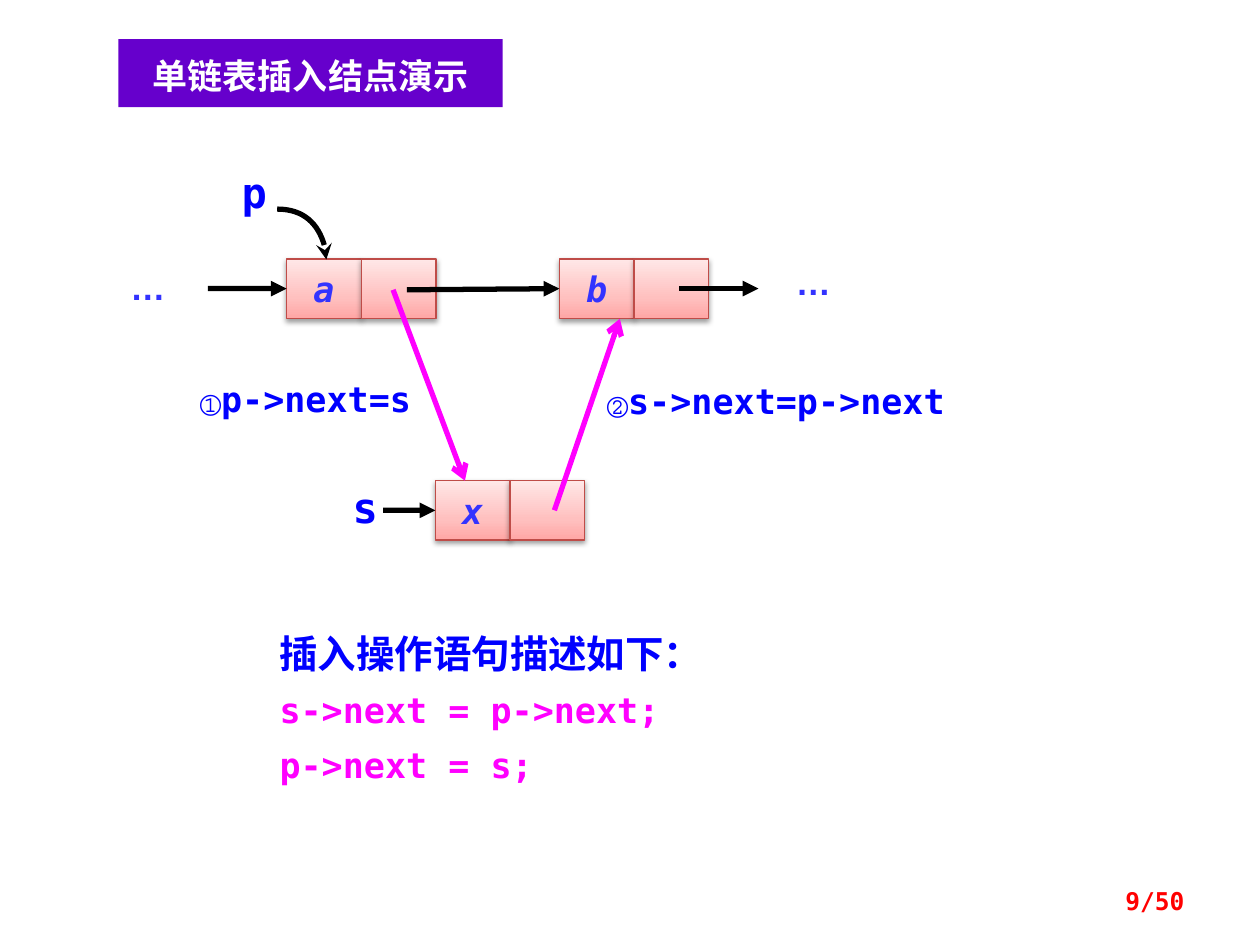
import copy
from typing import NamedTuple, Optional

from lxml import etree
from pptx import Presentation
from pptx import util as u
from pptx.dml.color import RGBColor
from pptx.enum import shapes, text
from pptx.oxml.ns import qn

COLS, ROWS = 100, 75
SLIDE_W, SLIDE_H = u.Inches(10), u.Inches(7.5)
CELL_W, CELL_H = 5.93, 4.72
ARC_PULL = 0.55  # Bezier handle of a quarter ellipse, as a share of its radius

MONO, SANS = "DejaVu Sans Mono", "Arial"
BLACK = RGBColor(0x00, 0x00, 0x00)
BLUE = RGBColor(0x00, 0x00, 0xFF)
SOFT_BLUE = RGBColor(0x33, 0x33, 0xFF)
MAGENTA = RGBColor(0xFF, 0x00, 0xFF)
PURPLE = RGBColor(0x66, 0x00, 0xCC)
RED = RGBColor(0xFF, 0x00, 0x00)
WHITE = RGBColor(0xFF, 0xFF, 0xFF)
CELL_EDGE = RGBColor(0xBF, 0x4C, 0x48)
CELL_STOPS = [
    (0, RGBColor(0xFF, 0xA6, 0xA5)),
    (0.35, RGBColor(0xFF, 0xC0, 0xBF)),
    (1, RGBColor(0xFF, 0xE7, 0xE7)),
]


class Node(NamedTuple):
    data: str
    x: float
    y: float


class Label(NamedTuple):
    words: str
    x: float
    y: float
    w: float
    h: float
    size: int = 20
    color: RGBColor = BLUE
    font: str = MONO
    align: text.PP_ALIGN = text.PP_ALIGN.LEFT


class Arrow(NamedTuple):
    x1: float
    y1: float
    x2: float
    y2: float
    target: Optional[str] = None


class Step(NamedTuple):
    arrow: Arrow
    label: Label


NODES = [Node("a", 22.75, 20.55), Node("b", 44.4, 20.55), Node("x", 34.55, 38.15)]
DOTS = dict(color=SOFT_BLUE, font=SANS, align=text.PP_ALIGN.CENTER)
LABELS = [
    Label("…", 61.4, 20.2, 6.3, 4.4, **DOTS),
    Label("…", 8.6, 20.6, 6.3, 4.4, **DOTS),
    Label("p", 18.2, 12.7, 4.7, 5, size=24),
    Label("s", 27, 37.7, 4.7, 5, size=24),
]
LINKS = [
    Arrow(16.5, 22.9, 22.8, 22.9, "a"),
    Arrow(32.3, 23, 44.6, 22.9, "b"),
    Arrow(53.9, 22.9, 60.2, 22.9),
    Arrow(30.4, 40.5, 34.3, 40.5, "x"),
]
STEPS = [
    Step(Arrow(44, 40.5, 49.2, 25.3),
         Label("②s->next=p->next", 47.2, 29.6, 30.8, 4.3)),
    Step(Arrow(31.2, 23, 36.9, 38.15),
         Label("①p->next=s", 14.9, 29.5, 20.7, 4.3)),
]


def col(n: float) -> int:
    return round(SLIDE_W * n / COLS)


def row(n: float) -> int:
    return round(SLIDE_H * n / ROWS)


def box(x: float, y: float, w: float, h: float) -> tuple:
    return col(x), row(y), col(w), row(h)


def write(p, words: str, *, size=20, color=BLUE, font=MONO, bold=True,
          italic=False, align=text.PP_ALIGN.LEFT, spacing=None) -> None:
    p.alignment = align
    p.line_spacing = spacing
    r = p.add_run()
    r.text = words
    r.font.name, r.font.size = font, u.Pt(size)
    r.font.bold, r.font.italic = bold, italic
    r.font.color.rgb = color


def add_text_frame(parent, x: float, y: float, w: float, h: float):
    tf = parent.add_textbox(*box(x, y, w, h)).text_frame
    tf.word_wrap = True
    tf.auto_size = text.MSO_AUTO_SIZE.SHAPE_TO_FIT_TEXT
    return tf


def add_label(parent, label: Label) -> None:
    tf = add_text_frame(parent, label.x, label.y, label.w, label.h)
    write(tf.paragraphs[0], label.words, size=label.size, color=label.color,
          font=label.font, align=label.align)


def add_soft_shadow(sp) -> None:
    effects = etree.SubElement(sp._element.spPr, qn("a:effectLst"))
    shadow = etree.SubElement(effects, qn("a:outerShdw"), blurRad=str(u.Pt(3.1)),
                              dist=str(u.Pt(1.6)), dir="5400000", rotWithShape="0")
    black = etree.SubElement(shadow, qn("a:srgbClr"), val="000000")
    etree.SubElement(black, qn("a:alpha"), val="38000")


def add_cell(parent, x: float, y: float, data: str):
    sp = parent.add_shape(shapes.MSO_SHAPE.RECTANGLE, *box(x, y, CELL_W, CELL_H))
    sp.fill.gradient()
    sp.fill.gradient_angle = 90
    gs_list = sp._element.spPr.find(".//" + qn("a:gsLst"))
    gs_list.insert(1, copy.deepcopy(gs_list[0]))
    for stop, (position, color) in zip(sp.fill.gradient_stops, CELL_STOPS):
        stop.position, stop.color.rgb = position, color
    sp.line.color.rgb, sp.line.width = CELL_EDGE, u.Pt(0.75)
    add_soft_shadow(sp)
    if data:
        tf = sp.text_frame
        tf.word_wrap = False
        tf.vertical_anchor = text.MSO_ANCHOR.MIDDLE
        write(tf.paragraphs[0], data, color=SOFT_BLUE, italic=True,
              align=text.PP_ALIGN.CENTER)
    return sp


def add_node(parent, node: Node):
    """Draw the data and pointer cells; return the data cell."""
    data = add_cell(parent, node.x, node.y, node.data)
    add_cell(parent, node.x + CELL_W, node.y, "")
    return data


def style_arrow(sp, color: RGBColor, head: str) -> None:
    sp.line.color.rgb, sp.line.width = color, u.Pt(3)
    pr = sp._element.spPr
    etree.SubElement(pr.find(qn("a:ln")), qn("a:tailEnd"), type=head)
    etree.SubElement(pr, qn("a:effectLst"))


def add_arrow(parent, arrow: Arrow, color=BLACK, head="triangle"):
    sp = parent.add_connector(shapes.MSO_CONNECTOR.STRAIGHT, col(arrow.x1),
                              row(arrow.y1), col(arrow.x2), row(arrow.y2))
    style_arrow(sp, color, head)
    return sp


def add_quarter_arc(parent, x: float, y: float, rx: float, ry: float) -> None:
    """Draw an arrow that leaves (x, y) to the right and turns down."""
    builder = parent.build_freeform(col(x), row(y))
    builder.add_line_segments([(col(x + rx), row(y + ry))], close=False)
    sp = builder.convert_to_shape()
    segment = sp._element.spPr.find(".//" + qn("a:lnTo"))
    curve = etree.Element(qn("a:cubicBezTo"))
    for px, py in ((rx * ARC_PULL, 0), (rx, ry * (1 - ARC_PULL)), (rx, ry)):
        etree.SubElement(curve, qn("a:pt"), x=str(col(px)), y=str(row(py)))
    segment.getparent().replace(segment, curve)
    sp.fill.background()
    style_arrow(sp, BLACK, "stealth")


def add_title(slide) -> None:
    sp = slide.shapes.title
    sp.left, sp.top, sp.width, sp.height = box(9.4, 3.1, 30.5, 5.4)
    sp.fill.solid()
    sp.fill.fore_color.rgb = PURPLE
    tf = sp.text_frame
    tf.word_wrap = True
    tf.auto_size = text.MSO_AUTO_SIZE.NONE
    tf.vertical_anchor = text.MSO_ANCHOR.TOP
    tf.margin_left = tf.margin_right = col(1.8)
    tf.margin_top, tf.margin_bottom = row(1.2), row(0.8)
    write(tf.paragraphs[0], "单链表插入结点演示", color=WHITE,
          align=text.PP_ALIGN.CENTER)


def main() -> None:
    prs = Presentation()
    prs.slide_width, prs.slide_height = SLIDE_W, SLIDE_H
    slide = prs.slides.add_slide(prs.slide_layouts[5])
    parent = slide.shapes
    add_title(slide)

    cells = {node.data: add_node(parent, node) for node in NODES}
    for label in LABELS:
        add_label(parent, label)
    add_quarter_arc(parent, 22, 16.6, 3.9, 4)
    for link in LINKS:
        sp = add_arrow(parent, link)
        if link.target:
            sp.end_connect(cells[link.target], 1)
    for step in STEPS:
        group = parent.add_group_shape().shapes
        add_arrow(group, step.arrow, MAGENTA, "arrow")
        add_label(group, step.label)

    tf = add_text_frame(parent, 21.2, 48.4, 42.5, 14.9)
    write(tf.paragraphs[0], "插入操作语句描述如下：", size=22, spacing=1.3)
    for code in ("s->next = p->next;", "p->next = s;"):
        write(tf.add_paragraph(), code, color=MAGENTA, spacing=1.3)

    tf = add_text_frame(parent, 71.7, 69.5, 23.3, 4)
    tf.auto_size = text.MSO_AUTO_SIZE.NONE
    tf.vertical_anchor = text.MSO_ANCHOR.MIDDLE
    write(tf.paragraphs[0], "9/50", size=14, color=RED, align=text.PP_ALIGN.RIGHT)
    prs.save("out.pptx")


if __name__ == "__main__":
    main()
